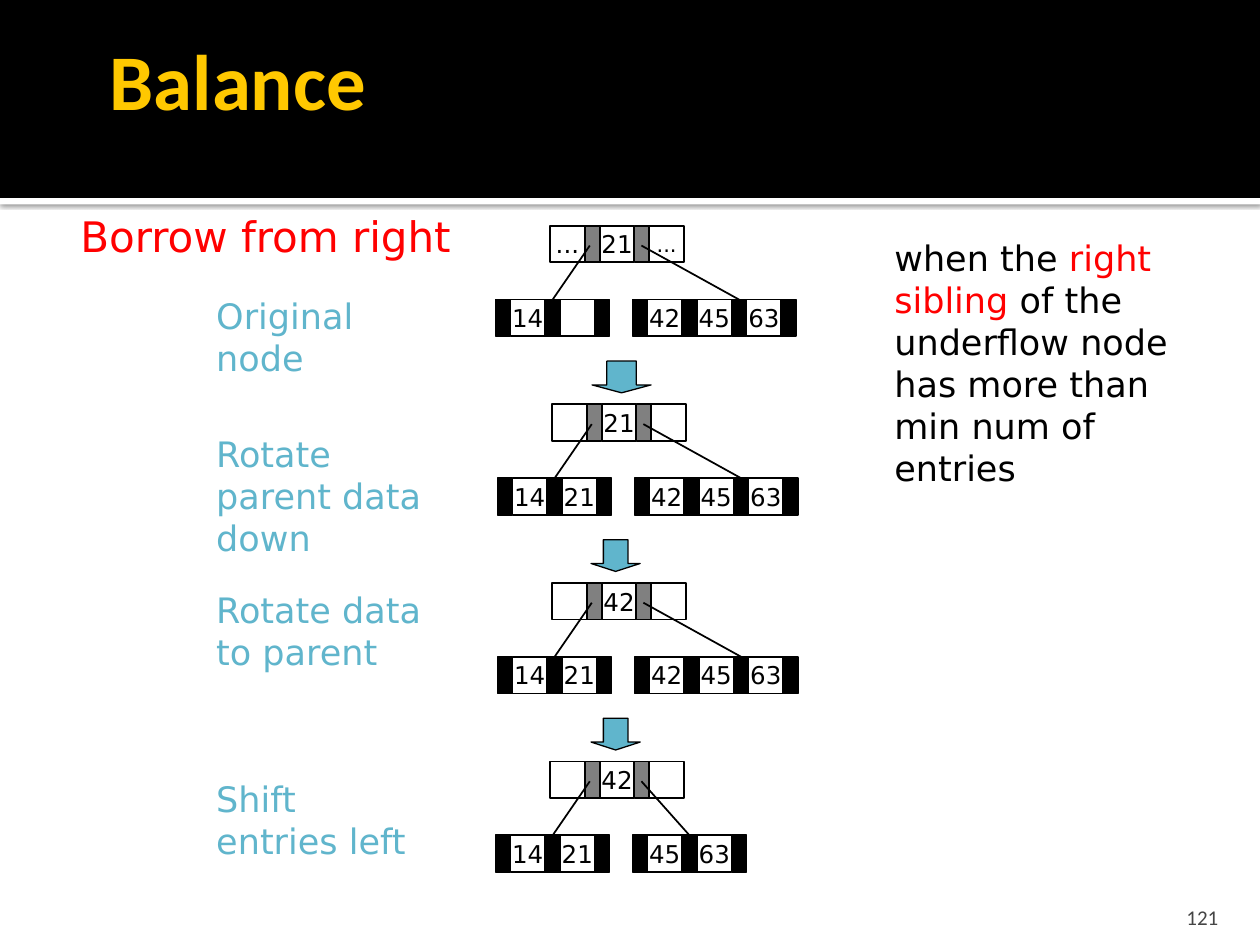
"""Build the slide on balancing a B-tree by borrowing from the right sibling."""
from lxml.etree import SubElement
from pptx import Presentation
from pptx.dml.color import RGBColor
from pptx.enum.shapes import MSO_CONNECTOR, MSO_SHAPE
from pptx.enum.text import MSO_ANCHOR, MSO_AUTO_SIZE, PP_ALIGN
from pptx.oxml.ns import qn
from pptx.util import Cm, Pt

BLACK = RGBColor(0x00, 0x00, 0x00)
WHITE = RGBColor(0xFF, 0xFF, 0xFF)
GRAY = RGBColor(0x80, 0x80, 0x80)
DARK_GRAY = RGBColor(0x45, 0x45, 0x45)
GOLD = RGBColor(0xFF, 0xC8, 0x00)
RED = RGBColor(0xFF, 0x00, 0x00)
BLUE = RGBColor(0x60, 0xB5, 0xCC)
BODY_FONT = "DejaVu Sans"
TITLE_FONT = "Calibri"
POINTER_WIDTH, KEY_WIDTH, NODE_HEIGHT = 0.3, 0.7, 0.74
FIRST_TOP, STAGE_STEP, LEAF_DROP = 4.55, 3.6, 1.49

presentation = Presentation()
presentation.slide_width = Cm(25.4)
presentation.slide_height = Cm(19.05)
slide = presentation.slides.add_slide(presentation.slide_layouts[5])
shapes = slide.shapes


def format_run(run, size, color, font=BODY_FONT):
    run.font.name = font
    run.font.size = Pt(size)
    run.font.color.rgb = color


def add_node(left, top, cells, pointer_color):
    """Draw keys (text) and pointers (None) side by side; return the pointers."""
    pointers = []
    for text in cells:
        width = POINTER_WIDTH if text is None else KEY_WIDTH
        cell = shapes.add_shape(MSO_SHAPE.RECTANGLE, Cm(left), Cm(top), Cm(width), Cm(NODE_HEIGHT))
        cell.shadow.inherit = False
        cell.line.color.rgb = BLACK
        cell.line.width = Pt(1)
        if text is None:
            cell.fill.solid()
            cell.fill.fore_color.rgb = pointer_color
            pointers.append(cell)
        else:
            cell.fill.background()
        if text:
            cell.text_frame.text = text
            cell.text_frame.word_wrap = False
            cell.text_frame.vertical_anchor = MSO_ANCHOR.MIDDLE
            paragraph = cell.text_frame.paragraphs[0]
            paragraph.alignment = PP_ALIGN.CENTER
            format_run(paragraph.runs[0], 14, BLACK)
        left += width
    return pointers


for top, height, color in [(3.99, 0.13, WHITE), (0, 3.99, BLACK)]:
    band = shapes.add_shape(MSO_SHAPE.RECTANGLE, 0, Cm(top), Cm(25.4), Cm(height))
    band.shadow.inherit = False
    band.fill.solid()
    band.fill.fore_color.rgb = color
    band.line.fill.background()
    if color == WHITE:
        effects = band._element.spPr.find(qn("a:effectLst"))
        shadow = SubElement(effects, qn("a:outerShdw"), blurRad=str(Pt(2.5)),
                            dist=str(Pt(0.8)), dir="5400000")
        shadow_color = SubElement(shadow, qn("a:srgbClr"), val=str(BLACK))
        SubElement(shadow_color, qn("a:alpha"), val="60000")

title = shapes.title
title.left, title.top, title.width, title.height = Cm(1.96), 0, Cm(21.59), Cm(3.18)
shapes._spTree.append(title._element)
title.text_frame.text = "Balance"
title.text_frame.vertical_anchor = MSO_ANCHOR.MIDDLE
title.text_frame.margin_right = Cm(0.13)
title.text_frame.paragraphs[0].alignment = PP_ALIGN.LEFT
title_run = title.text_frame.paragraphs[0].runs[0]
format_run(title_run, 45, GOLD, TITLE_FONT)
title_run.font.bold = True

stages = [
    (0, ["...", "21", "..."], ["14", ""], ["42", "45", "63"], 2),
    (0.04, ["", "21", ""], ["14", "21"], ["42", "45", "63"], 2),
    (0.04, ["", "42", ""], ["14", "21"], ["42", "45", "63"], 2),
    (0, ["", "42", ""], ["14", "21"], ["45", "63"], 1),
]
for index, (shift, parent_keys, left_keys, right_keys, target) in enumerate(stages):
    top = FIRST_TOP + index * STAGE_STEP
    parent_cells = [parent_keys[0]]
    for key in parent_keys[1:]:
        parent_cells += [None, key]
    add_node(11.09 + shift, top, parent_cells, GRAY)
    leaves = []
    for left, keys in [(9.99, left_keys), (12.75, right_keys)]:
        leaf_cells = [None]
        for key in keys:
            leaf_cells += [key, None]
        leaves.append(add_node(left + shift, top + LEAF_DROP, leaf_cells, BLACK))
    for start, child in [(11.89, leaves[0][1]), (12.93, leaves[1][target])]:
        link = shapes.add_connector(MSO_CONNECTOR.STRAIGHT, Cm(start + shift), Cm(top + 0.4),
                                    child.left, child.top)
        link.end_connect(child, 0)
        link.line.color.rgb = BLACK
        link.line.width = Pt(1)
        SubElement(link._element.spPr, qn("a:effectLst"))

for shape in shapes:
    if shape.has_text_frame and shape.text_frame.text == "...":
        right_dots = shape
right_dots.text_frame.paragraphs[0].runs[0].font.size = Pt(12)

for index, (center, breadth) in enumerate([(12.53, 1.19), (12.41, 0.99), (12.41, 0.99)]):
    middle = FIRST_TOP + index * STAGE_STEP + 3.05
    arrow = shapes.add_shape(MSO_SHAPE.RIGHT_ARROW, Cm(center - 0.32), Cm(middle - breadth / 2),
                             Cm(0.64), Cm(breadth))
    arrow.rotation = 90
    arrow.adjustments[0], arrow.adjustments[1] = 0.5, 0.25
    arrow.shadow.inherit = False
    arrow.fill.solid()
    arrow.fill.fore_color.rgb = BLUE
    arrow.line.color.rgb = BLACK
    arrow.line.width = Pt(0.75)

text_boxes = [
    (1.37, 4.11, 8.59, 1.3, 24, [("Borrow from right", RED)]),
    (4.11, 5.82, 5.08, 1.96, 20, [("Original node", BLUE)]),
    (4.11, 8.59, 4.7, 2.82, 20, [("Rotate parent data down", BLUE)]),
    (4.11, 11.73, 4.7, 1.96, 20, [("Rotate data to parent", BLUE)]),
    (4.11, 15.54, 4.7, 1.96, 20, [("Shift entries left", BLUE)]),
    (17.78, 4.65, 6.71, 5.38, 20, [
        ("when the ", BLACK), ("right sibling", RED),
        (" of the underflow node has more than min num of entries", BLACK)]),
]
for left, top, width, height, size, parts in text_boxes:
    text_box = shapes.add_textbox(Cm(left), Cm(top), Cm(width), Cm(height))
    text_box.text_frame.word_wrap = True
    text_box.text_frame.auto_size = MSO_AUTO_SIZE.SHAPE_TO_FIT_TEXT
    for text, color in parts:
        run = text_box.text_frame.paragraphs[0].add_run()
        run.text = text
        format_run(run, size, color)

page_number = shapes.add_textbox(Cm(22.78), Cm(17.98), Cm(2.03), Cm(0.76))
page_number.text_frame.text = "121"
page_number.text_frame.word_wrap = True
page_number.text_frame.vertical_anchor = MSO_ANCHOR.BOTTOM
page_number.text_frame.margin_bottom = 0
page_number.text_frame.paragraphs[0].alignment = PP_ALIGN.RIGHT
format_run(page_number.text_frame.paragraphs[0].runs[0], 12, DARK_GRAY, TITLE_FONT)

presentation.save("out.pptx")
